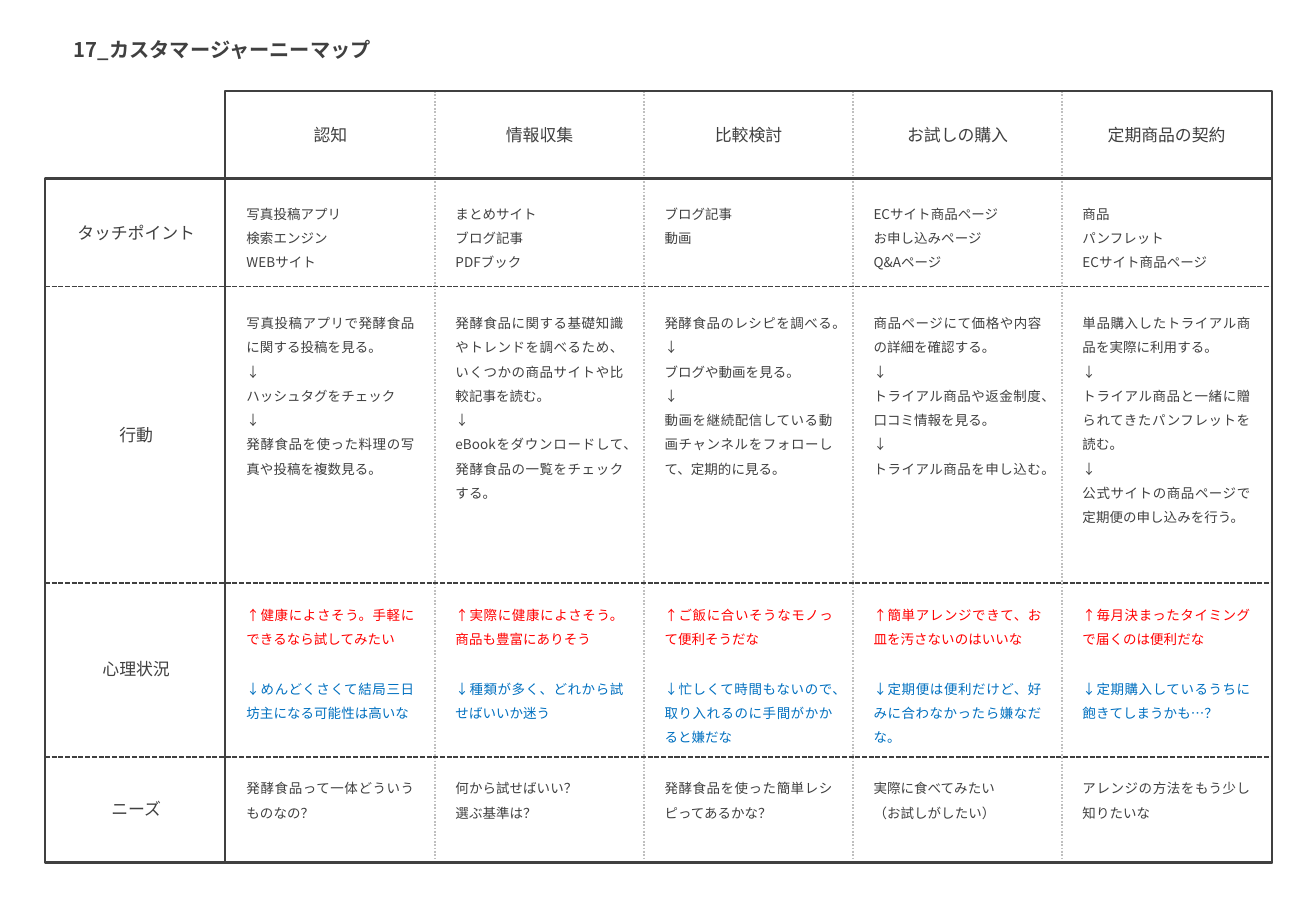
"""Build the customer journey map slide."""
from dataclasses import dataclass
from math import ceil

from lxml import etree
from pptx import Presentation
from pptx import util as u
from pptx.dml.color import RGBColor
from pptx.enum import dml, shapes, text
from pptx.oxml import ns

PX = 9144
FONT = "Noto Sans CJK JP"
INK = RGBColor(0x40, 0x40, 0x40)
GREY = RGBColor(0xBF, 0xBF, 0xBF)
RED = RGBColor(0xFF, 0x00, 0x00)
BLUE = RGBColor(0x00, 0x70, 0xC0)

LEFT, RIGHT, TOP, BOTTOM = 37, 1047, 75, 710
STAGE_LEFT, HEADER_BOTTOM = 185, 147
PITCH, CELL_LEFT, CELL_W = 172, 193, 158
LABEL_W, LABEL_H = 148, 26
CHARS_PER_LINE = 12


@dataclass(frozen=True)
class Style:
    """Look of the text in a box."""

    size: int
    color: RGBColor = INK
    align: text.PP_ALIGN = text.PP_ALIGN.LEFT
    anchor: text.MSO_ANCHOR = text.MSO_ANCHOR.TOP
    spacing: float = 1.0
    bold: bool = False
    wrap: bool = True


@dataclass(frozen=True)
class Band:
    """One line of cells across the stages."""

    top: int
    cells: list[str]
    color: RGBColor = INK


@dataclass(frozen=True)
class Label:
    """Heading of a row."""

    top: int
    words: str


TITLE = Style(12, bold=True, wrap=False)
HEADING = Style(10, align=text.PP_ALIGN.CENTER, anchor=text.MSO_ANCHOR.MIDDLE)

STAGES = ["認知", "情報収集", "比較検討", "お試しの購入", "定期商品の契約"]
LABELS = [
    Label(179, "タッチポイント"),
    Label(345, "行動"),
    Label(538, "心理状況"),
    Label(653, "ニーズ"),
]
ROW_LINES = [236, 480, 623]
BANDS = [
    Band(158, [
        "写真投稿アプリ\n検索エンジン\nWEBサイト",
        "まとめサイト\nブログ記事\nPDFブック",
        "ブログ記事\n動画",
        "ECサイト商品ページ\nお申し込みページ\nQ&Aページ",
        "商品\nパンフレット\nECサイト商品ページ",
    ]),
    Band(248, [
        "写真投稿アプリで発酵食品に関する投稿を見る。\n↓\nハッシュタグをチェック\n↓\n"
        "発酵食品を使った料理の写真や投稿を複数見る。",
        "発酵食品に関する基礎知識やトレンドを調べるため、いくつかの商品サイトや比較記事を読む。\n↓\n"
        "eBookをダウンロードして、発酵食品の一覧をチェックする。",
        "発酵食品のレシピを調べる。\n↓\nブログや動画を見る。\n↓\n"
        "動画を継続配信している動画チャンネルをフォローして、定期的に見る。",
        "商品ページにて価格や内容の詳細を確認する。\n↓\n"
        "トライアル商品や返金制度、口コミ情報を見る。\n↓\nトライアル商品を申し込む。",
        "単品購入したトライアル商品を実際に利用する。\n↓\n"
        "トライアル商品と一緒に贈られてきたパンフレットを読む。\n↓\n"
        "公式サイトの商品ページで定期便の申し込みを行う。",
    ]),
    Band(488, [
        "↑健康によさそう。手軽にできるなら試してみたい",
        "↑実際に健康によさそう。商品も豊富にありそう",
        "↑ご飯に合いそうなモノって便利そうだな",
        "↑簡単アレンジできて、お皿を汚さないのはいいな",
        "↑毎月決まったタイミングで届くのは便利だな",
    ], RED),
    Band(549, [
        "↓めんどくさくて結局三日坊主になる可能性は高いな",
        "↓種類が多く、どれから試せばいいか迷う",
        "↓忙しくて時間もないので、取り入れるのに手間がかかると嫌だな",
        "↓定期便は便利だけど、好みに合わなかったら嫌なだな。",
        "↓定期購入しているうちに飽きてしまうかも…？",
    ], BLUE),
    Band(631, [
        "発酵食品って一体どういうものなの？",
        "何から試せばいい？\n選ぶ基準は？",
        "発酵食品を使った簡単レシピってあるかな？",
        "実際に食べてみたい\n（お試しがしたい）",
        "アレンジの方法をもう少し知りたいな",
    ]),
]


def add_text(s, x: int, y: int, w: int, h: int, words: str, style: Style) -> None:
    """Add a text box with one paragraph per line of words."""
    sp = s.shapes.add_textbox(x * PX, y * PX, w * PX, h * PX)
    tf = sp.text_frame
    tf.word_wrap = style.wrap
    tf.auto_size = text.MSO_AUTO_SIZE.SHAPE_TO_FIT_TEXT
    tf.vertical_anchor = style.anchor
    for i, line in enumerate(words.split("\n")):
        p = tf.add_paragraph() if i else tf.paragraphs[0]
        p.alignment = style.align
        p.line_spacing = style.spacing
        r = p.add_run()
        r.text = line
        r.font.size = u.Pt(style.size)
        r.font.bold = style.bold
        r.font.color.rgb = style.color
        r.font.name = FONT
        etree.SubElement(r._r.get_or_add_rPr(), ns.qn("a:ea"), typeface=FONT)


def add_line(s, x1: int, y1: int, x2: int, y2: int,
             color: RGBColor, dash: dml.MSO_LINE) -> None:
    """Add a dashed straight line."""
    c = s.shapes.add_connector(shapes.MSO_CONNECTOR.STRAIGHT,
                               x1 * PX, y1 * PX, x2 * PX, y2 * PX)
    c.line.color.rgb = color
    c.line.width = u.Pt(1)
    c.line.dash_style = dash
    etree.SubElement(c._element.spPr, ns.qn("a:effectLst"))


def add_frame(s, x: int, y: int) -> None:
    """Add an unfilled frame reaching to the lower right corner of the map."""
    sp = s.shapes.add_shape(shapes.MSO_SHAPE.RECTANGLE, x * PX, y * PX,
                            (RIGHT - x) * PX, (BOTTOM - y) * PX)
    sp.shadow.inherit = False
    sp.fill.background()
    sp.line.color.rgb = INK
    sp.line.width = u.Pt(1.5)


def cell_height(words: str) -> int:
    """Return the height of a cell from its wrapped line count."""
    lines = sum(ceil(len(line.rstrip("。")) / CHARS_PER_LINE)
                for line in words.split("\n"))
    return 10 + 20 * lines


def main() -> None:
    """Draw the map and save it."""
    prs = Presentation()
    prs.slide_width, prs.slide_height = 1083 * PX, 750 * PX
    s = prs.slides.add_slide(prs.slide_layouts[6])

    for i in range(1, len(STAGES)):
        x = STAGE_LEFT + 1 + i * PITCH
        add_line(s, x, TOP, x, BOTTOM, GREY, dml.MSO_LINE.ROUND_DOT)
    for y in ROW_LINES:
        add_line(s, LEFT, y, RIGHT, y, INK, dml.MSO_LINE.SQUARE_DOT)
    add_frame(s, LEFT, HEADER_BOTTOM)
    add_frame(s, STAGE_LEFT, TOP)

    add_text(s, 51, 26, 273, 30, "17_カスタマージャーニーマップ", TITLE)
    for label in LABELS:
        add_text(s, LEFT + 1, label.top, LABEL_W, LABEL_H, label.words, HEADING)
    for i, stage in enumerate(STAGES):
        add_text(s, CELL_LEFT + 5 + i * PITCH, 98, LABEL_W, LABEL_H, stage, HEADING)
    for band in BANDS:
        style = Style(8, band.color, text.PP_ALIGN.JUSTIFY, spacing=1.5)
        for i, words in enumerate(band.cells):
            add_text(s, CELL_LEFT + i * PITCH, band.top, CELL_W,
                     cell_height(words), words, style)

    prs.save("out.pptx")


if __name__ == "__main__":
    main()
